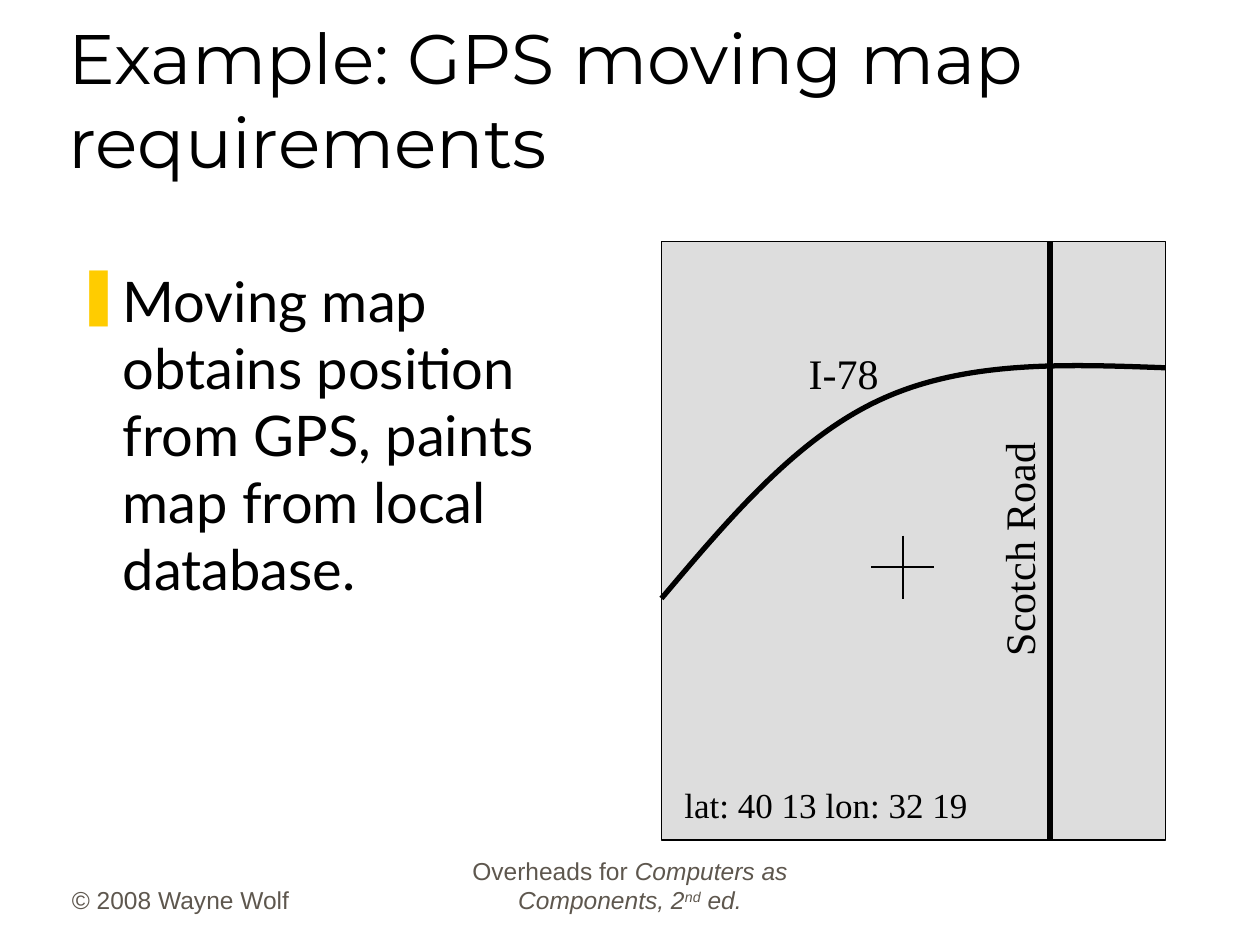
"""Build the slide on GPS moving map requirements."""
import pptx
import pptx.util
import pptx.dml.color
import pptx.enum.shapes
import pptx.enum.text
import pptx.oxml
import pptx.oxml.ns

Pt = pptx.util.Pt
qn = pptx.oxml.ns.qn
ANCHOR = pptx.enum.text.MSO_ANCHOR
ALIGN = pptx.enum.text.PP_ALIGN
SERIF = "Times New Roman"
BLACK, GREY, YELLOW, MAP_FILL = "000000", "5E574E", "FFCC00", "DDDDDD"


def rgb(value):
    return pptx.dml.color.RGBColor.from_string(value)


def add_child(parent, tag, **attrs):
    child = pptx.oxml.parse_xml(f"<{tag} {pptx.oxml.ns.nsdecls('a')}/>")
    for name, value in attrs.items():
        child.set(name, str(value))
    parent.append(child)
    return child


def add_bullet(p, char, color, indent):
    pPr = p._p.get_or_add_pPr()
    pPr.set("marL", str(Pt(indent)))
    pPr.set("indent", str(-Pt(indent)))
    add_child(add_child(pPr, "a:buClr"), "a:srgbClr", val=color)
    add_child(pPr, "a:buChar", char=char)


def add_text(s, box, text, size=24, font=SERIF, color=BLACK, align=ALIGN.LEFT,
             anchor=ANCHOR.TOP, wrap=True, rotation=0, bullet=None):
    sp = s.shapes.add_textbox(*map(Pt, box))
    sp.rotation = rotation
    tf = sp.text_frame
    tf.word_wrap = wrap
    if not wrap:
        tf.auto_size = pptx.enum.text.MSO_AUTO_SIZE.SHAPE_TO_FIT_TEXT
    tf.vertical_anchor = anchor
    p = tf.paragraphs[0]
    p.alignment = align
    if bullet:
        add_bullet(p, *bullet)
    runs = [(text, False, 0)] if isinstance(text, str) else text
    for part, italic, baseline in runs:
        r = p.add_run()
        r.text = part
        r.font.size = Pt(size)
        r.font.name = font
        r.font.color.rgb = rgb(color)
        if italic:
            r.font.italic = True
        if baseline:
            r._r.get_or_add_rPr().set("baseline", str(baseline * 1000))


def set_line(sp, width):
    sp.line.color.rgb = rgb(BLACK)
    sp.line.width = Pt(width)


def add_rect(s, box, fill):
    sp = s.shapes.add_shape(pptx.enum.shapes.MSO_SHAPE.RECTANGLE, *map(Pt, box))
    sp.shadow.inherit = False
    sp.fill.solid()
    sp.fill.fore_color.rgb = rgb(fill)
    set_line(sp, 0.75)


def add_line(s, x1, y1, x2, y2, width):
    sp = s.shapes.add_connector(
        pptx.enum.shapes.MSO_CONNECTOR.STRAIGHT, *map(Pt, (x1, y1, x2, y2)))
    set_line(sp, width)
    add_child(sp._element.spPr, "a:effectLst")


def add_curve(s, points, width):
    start, *rest = [(Pt(x), Pt(y)) for x, y in points]
    builder = s.shapes.build_freeform(*start)
    builder.add_line_segments(rest, close=False)
    sp = builder.convert_to_shape()
    sp.shadow.inherit = False
    sp.fill.background()
    set_line(sp, width)
    steps = list(sp._element.spPr.iter(qn("a:lnTo")))
    for i in range(0, len(steps), 3):
        curve = add_child(steps[i].getparent(), "a:cubicBezTo")
        for step in steps[i:i + 3]:
            curve.append(step[0])
            step.getparent().remove(step)


def add_map(s):
    left, top, width, height = 378, 138, 288, 342
    road_x, cross_x, cross_y, arm = 600, 516, 324, 18
    add_rect(s, (left, top, width, height), MAP_FILL)
    add_line(s, road_x, top, road_x, top + height, 3)
    add_curve(s, [(left, 342), (416.9, 296), (455.8, 249.8), (504, 228),
                  (552.2, 206), (609.1, 208.1), (left + width, 210.2)], 3)
    add_line(s, cross_x, cross_y - arm, cross_x, cross_y + arm, 0.75)
    add_line(s, cross_x - arm, cross_y, cross_x + arm, cross_y, 0.75)
    add_text(s, (384, 444, 177, 31.5), "lat: 40 13 lon: 32 19", size=20, wrap=False)
    add_text(s, (455, 195, 56, 36), "I-78", wrap=False)
    add_text(s, (512, 294, 140, 36), "Scotch Road", wrap=False, rotation=270)


def add_footer(s, left, width, text, **fmt):
    add_text(s, (left, 490.3, width, 36), text, size=14, font="Arial",
             color=GREY, anchor=ANCHOR.BOTTOM, **fmt)


def main():
    prs = pptx.Presentation()
    prs.slide_width, prs.slide_height = Pt(720), Pt(540)
    s = prs.slides.add_slide(prs.slide_layouts[6])
    add_footer(s, 34, 150, "© 2008 Wayne Wolf")
    add_footer(s, 246, 228, [("Overheads for ", False, 0),
                             ("Computers as Components, 2", True, 0),
                             ("nd", True, 30), (" ed.", True, 0)],
               align=ALIGN.CENTER)
    add_text(s, (32, 18, 612, 90), "Example: GPS moving map requirements",
             size=40, font="Montserrat", anchor=ANCHOR.BOTTOM)
    add_text(s, (36, 148.5, 300, 328),
             "Moving map obtains position from GPS, paints map from local database.",
             size=32, font="Lato", bullet=("❚", YELLOW, 27))
    add_map(s)
    prs.save("out.pptx")


if __name__ == "__main__":
    main()
